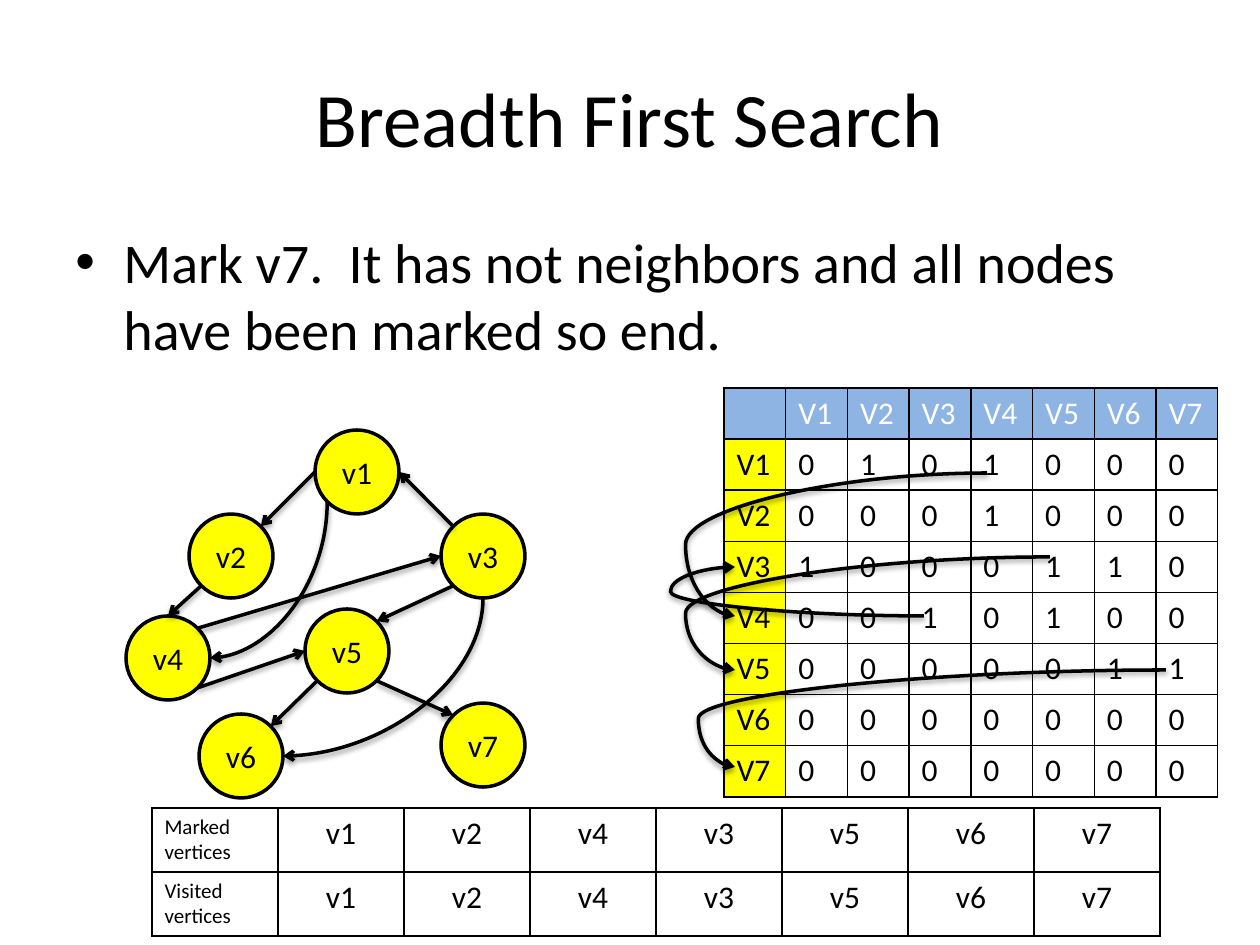
from lxml import etree
from pptx import Presentation
from pptx.dml.color import RGBColor
from pptx.enum.shapes import MSO_CONNECTOR as CONN, MSO_SHAPE as SHAPE
from pptx.enum.text import MSO_ANCHOR as ANCHOR, PP_ALIGN as ALIGN
from pptx.oxml import parse_xml
from pptx.oxml.ns import nsdecls, qn
from pptx.util import Pt

SCALE = 914400 / 126
FONT = "Calibri"
BLACK = RGBColor(0, 0, 0)
WHITE = RGBColor(255, 255, 255)
YELLOW = RGBColor(255, 255, 0)
BLUE = RGBColor(0x8E, 0xB4, 0xE3)

DIAMETER = 84
NODES = {
    "v1": (315, 430), "v2": (189, 514), "v3": (441, 514), "v4": (126, 616),
    "v5": (305, 609), "v6": (199, 714), "v7": (441, 703),
}
SITES = {
    "T": (0, -1), "B": (0, 1), "L": (-1, 0), "R": (1, 0),
    "TL": (-0.71, -0.71), "TR": (0.71, -0.71),
    "BL": (-0.71, 0.71), "BR": (0.71, 0.71),
}
EDGES = [
    ("v1", "L", "v2", "TR"), ("v2", "BL", "v4", "T"), ("v1", "BL", "v4", "R"),
    ("v3", "TL", "v1", "R"), ("v3", "BL", "v5", "TR"), ("v3", "B", "v6", "R"),
    ("v4", "BR", "v5", "L"), ("v5", "BL", "v6", "TR"), ("v5", "BR", "v7", "TL"),
    ("v4", "TR", "v3", "L"),
]
BENT = {("v1", "v4"), ("v3", "v6")}
ADJACENCY = ["0101000", "0001000", "1000110", "0010100", "0000011", "0000000", "0000000"]
ORDER = ["v1", "v2", "v4", "v3", "v5", "v6", "v7"]
LOOKUPS = [
    ((987, 473), (735, 616), 119600), ((924, 616), (735, 567), 134100),
    ((1050, 557), (735, 670), 115700), ((1166, 670), (735, 767), 108500),
]


def px(n):
    return round(n * SCALE)


def add_run(p, text, size, color=BLACK):
    r = p.add_run()
    r.text = text
    r.font.name = FONT
    r.font.size = Pt(size)
    r.font.bold = False
    r.font.color.rgb = color


def add_text(shapes, box, text, size, align=ALIGN.LEFT, anchor=ANCHOR.TOP):
    tf = shapes.add_textbox(*map(px, box)).text_frame
    tf.word_wrap = True
    tf.vertical_anchor = anchor
    p = tf.paragraphs[0]
    p.alignment = align
    add_run(p, text, size)
    return p


def add_bullet(p):
    ppr = p._p.get_or_add_pPr()
    ppr.set("marL", str(px(48)))
    ppr.set("indent", str(px(-48)))
    etree.SubElement(ppr, qn("a:buFont")).set("typeface", "Arial")
    etree.SubElement(ppr, qn("a:buChar")).set("char", "•")


def add_node(shapes, name, x, y):
    sp = shapes.add_shape(SHAPE.OVAL, px(x), px(y), px(DIAMETER), px(DIAMETER))
    sp.shadow.inherit = False
    sp.fill.solid()
    sp.fill.fore_color.rgb = YELLOW
    sp.line.color.rgb = BLACK
    sp.line.width = Pt(2)
    tf = sp.text_frame
    tf.vertical_anchor = ANCHOR.MIDDLE
    tf.paragraphs[0].alignment = ALIGN.CENTER
    add_run(tf.paragraphs[0], name, 18)


def add_arrow(shapes, kind, start, end):
    c = shapes.add_connector(kind, *map(px, start + end))
    c.line.color.rgb = BLACK
    c.line.width = Pt(2)
    etree.SubElement(c.line._get_or_add_ln(), qn("a:tailEnd")).set("type", "arrow")
    c._element.spPr.append(parse_xml(
        f'<a:effectLst {nsdecls("a")}><a:outerShdw blurRad="40000" dist="20000" '
        'dir="5400000" rotWithShape="0"><a:srgbClr val="000000"><a:alpha val="38000"/>'
        '</a:srgbClr></a:outerShdw></a:effectLst>'))
    return c


def add_bent_arrow(shapes, start, end):
    (x1, y1), (x2, y2) = start, end
    cx, cy = (x1 + x2) / 2, (y1 + y2) / 2
    w, h = y2 - y1, x1 - x2
    c = add_arrow(shapes, CONN.CURVE, (cx - w / 2, cy - h / 2), (cx + w / 2, cy + h / 2))
    sppr = c._element.spPr
    sppr.find(qn("a:xfrm")).set("rot", "5400000")
    sppr.find(qn("a:prstGeom")).set("prst", "curvedConnector2")


def add_lookup_arrow(shapes, start, end, bulge):
    c = add_arrow(shapes, CONN.CURVE, start, end)
    guides = c._element.spPr.find(qn("a:prstGeom")).get_or_add_avLst()
    guide = etree.SubElement(guides, qn("a:gd"))
    guide.set("name", "adj1")
    guide.set("fmla", f"val {bulge}")


def site_point(node, site):
    r = DIAMETER / 2
    return tuple(n + r + r * d for n, d in zip(NODES[node], SITES[site]))


def add_graph(shapes):
    group = shapes.add_group_shape().shapes
    for name, (x, y) in NODES.items():
        add_node(group, name, x, y)
    for source, out_site, target, in_site in EDGES:
        start, end = site_point(source, out_site), site_point(target, in_site)
        if (source, target) in BENT:
            add_bent_arrow(group, start, end)
        else:
            add_arrow(group, CONN.STRAIGHT, start, end)


def set_borders(cell):
    tcpr = cell._tc.get_or_add_tcPr()
    for i, side in enumerate(("lnL", "lnR", "lnT", "lnB")):
        tcpr.insert(i, parse_xml(
            f'<a:{side} {nsdecls("a")} w="12700"><a:solidFill>'
            f'<a:srgbClr val="{BLACK}"/></a:solidFill></a:{side}>'))


def add_grid(shapes, box, rows, style):
    tbl = shapes.add_table(len(rows), len(rows[0]), *map(px, box)).table
    tbl.first_row = False
    tbl.horz_banding = False
    for i, row in enumerate(rows):
        for j, text in enumerate(row):
            size, color, fill, align = style(i, j)
            cell = tbl.cell(i, j)
            if fill is None:
                cell.fill.background()
            else:
                cell.fill.solid()
                cell.fill.fore_color.rgb = fill
            set_borders(cell)
            p = cell.text_frame.paragraphs[0]
            p.alignment = align
            if text:
                add_run(p, text, size, color)


def matrix_style(i, j):
    if i == 0:
        return 18, WHITE, BLUE, ALIGN.LEFT
    return 18, BLACK, YELLOW if j == 0 else None, ALIGN.LEFT


def progress_style(i, j):
    return (18, BLACK, None, ALIGN.CENTER) if j else (12, BLACK, None, ALIGN.LEFT)


def main():
    prs = Presentation()
    prs.slide_width, prs.slide_height = px(1260), px(945)
    s = prs.slides.add_slide(prs.slide_layouts[6])
    shapes = s.shapes
    add_text(shapes, (63, 38, 1134, 157), "Breadth First Search", 44, ALIGN.CENTER, ANCHOR.MIDDLE)
    p = add_text(shapes, (63, 221, 1134, 624),
                 "Mark v7.  It has not neighbors and all nodes have been marked so end.", 32)
    p.space_before = Pt(6.4)
    add_bullet(p)
    add_graph(shapes)
    progress = [[f"{state} vertices"] + ORDER for state in ("Marked", "Visited")]
    add_grid(shapes, (152, 808, 1008, 128), progress, progress_style)
    labels = [f"V{n}" for n in range(1, 8)]
    matrix = [[""] + labels] + [[v, *bits] for v, bits in zip(labels, ADJACENCY)]
    add_grid(shapes, (724, 388, 494, 409), matrix, matrix_style)
    for start, end, bulge in LOOKUPS:
        add_lookup_arrow(shapes, start, end, bulge)
    prs.save("out.pptx")


main()
